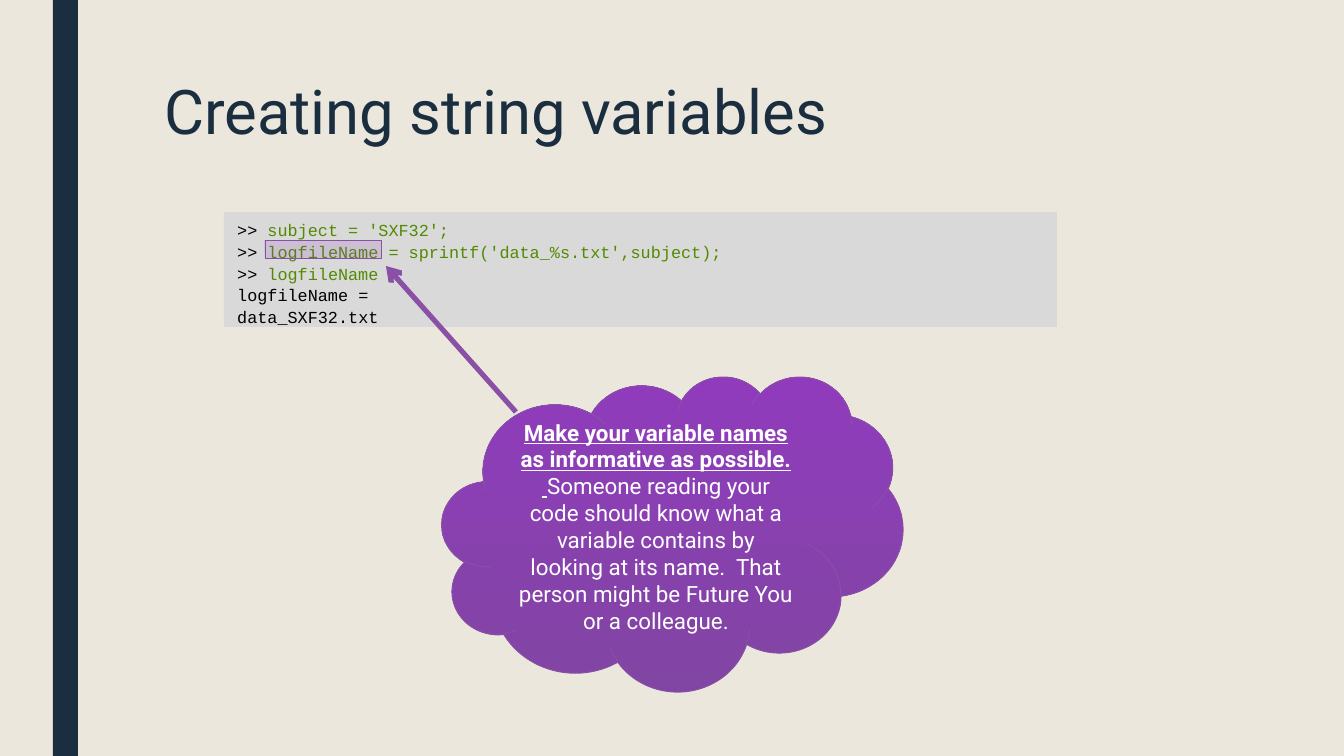
from lxml import etree
from pptx import Presentation, util as u
from pptx.dml.color import RGBColor
from pptx.enum import shapes, text
from pptx.oxml import ns

PX = 914400 / 134.4
CREAM = RGBColor(0xEB, 0xE7, 0xDD)
NAVY = RGBColor(0x1A, 0x2E, 0x40)
GRAY = RGBColor(0xD9, 0xD9, 0xD9)
GREEN = RGBColor(0x52, 0x8A, 0x02)
BLACK = RGBColor(0, 0, 0)
WHITE = RGBColor(0xFF, 0xFF, 0xFF)
DEEP_PURPLE = RGBColor(0x81, 0x46, 0xA3)
BRIGHT_PURPLE = RGBColor(0x90, 0x3B, 0xBC)
PURPLE_LINE = RGBColor(0x89, 0x50, 0xA6)

TITLE = {"name": "Roboto", "size": u.Pt(33), "color": NAVY}
PROMPT = {"name": "Courier New", "size": u.Pt(9), "color": BLACK}
CODE = {**PROMPT, "color": GREEN}
ADVICE = {"name": "Roboto", "size": u.Pt(12), "color": WHITE}
EMPHASIS = {**ADVICE, "bold": True, "underline": True}


def scaled(*lengths):
    """Turn px lengths into EMU."""
    return [u.Emu(round(length * PX)) for length in lengths]


def add_run(paragraph, words, style):
    """Append a run with the given font values."""
    run = paragraph.add_run()
    run.text = words
    for name, value in style.items():
        if name == "color":
            run.font.color.rgb = value
        else:
            setattr(run.font, name, value)


def add_panel(slide, box, color, kind=shapes.MSO_SHAPE.RECTANGLE):
    """Add a plain filled shape without outline or shadow."""
    shape = slide.shapes.add_shape(kind, *scaled(*box))
    shape.shadow.inherit = False
    shape.fill.solid()
    shape.fill.fore_color.rgb = color
    shape.line.fill.background()
    return shape


def paint_purple(shape, alpha=None):
    """Give a shape the purple gradient and outline."""
    shape.fill.gradient()
    shape.fill.gradient_angle = 90
    for stop, color in zip(shape.fill.gradient_stops, (DEEP_PURPLE, BRIGHT_PURPLE)):
        stop.color.rgb = color
    if alpha is not None:
        for color in shape.fill._xPr.iter(ns.qn("a:srgbClr")):
            etree.SubElement(color, ns.qn("a:alpha"), val=str(alpha * 1000))
    shape.line.color.rgb = PURPLE_LINE
    shape.line.width = u.Pt(0.5)


def add_title(slide, box):
    """Add the slide title."""
    frame = slide.shapes.add_textbox(*scaled(*box)).text_frame
    frame.word_wrap = True
    paragraph = frame.paragraphs[0]
    paragraph.line_spacing = 0.89
    add_run(paragraph, "Creating string variables", TITLE)


def add_code(slide, box):
    """Add the console listing and highlight its variable name."""
    left, top, width, height = box
    frame = add_panel(slide, box, GRAY).text_frame
    frame.word_wrap = True
    frame.vertical_anchor = text.MSO_ANCHOR.TOP
    lines = [
        (">> ", "subject = 'SXF32';"),
        (">> ", "logfileName = sprintf('data_%s.txt',subject);"),
        (">> ", "logfileName"),
        ("logfileName =", ""),
        ("data_SXF32.txt", ""),
    ]
    for index, (plain, code) in enumerate(lines):
        paragraph = frame.paragraphs[0] if index == 0 else frame.add_paragraph()
        paragraph.alignment = text.PP_ALIGN.LEFT
        paragraph.line_spacing = 1.07
        add_run(paragraph, plain, PROMPT)
        if code:
            add_run(paragraph, code, CODE)
    highlight = add_panel(slide, (left + 41, top + 28, 117, 19), DEEP_PURPLE)
    paint_purple(highlight, alpha=16)


def add_arrow(slide, start, end):
    """Add the arrow from the advice to the variable name."""
    arrow = slide.shapes.add_connector(
        shapes.MSO_CONNECTOR.STRAIGHT, *scaled(*start, *end))
    arrow.line.color.rgb = PURPLE_LINE
    arrow.line.width = u.Pt(2.75)
    etree.SubElement(arrow.line._get_or_add_ln(), ns.qn("a:tailEnd"), type="arrow")
    etree.SubElement(arrow._element.spPr, ns.qn("a:effectLst"))


def add_advice(slide, box):
    """Add the cloud with the naming advice."""
    cloud = add_panel(slide, box, DEEP_PURPLE, shapes.MSO_SHAPE.CLOUD)
    paint_purple(cloud)
    frame = cloud.text_frame
    frame.word_wrap = True
    frame.vertical_anchor = text.MSO_ANCHOR.MIDDLE
    paragraph = frame.paragraphs[0]
    paragraph.alignment = text.PP_ALIGN.CENTER
    add_run(paragraph, "Make your variable names as informative as possible.  ", EMPHASIS)
    add_run(paragraph, "Someone reading your code should know what a variable contains by "
            "looking at its name.  That person might be Future You or a colleague.", ADVICE)


def main():
    """Build and save the presentation."""
    presentation = Presentation()
    presentation.slide_width, presentation.slide_height = scaled(1344, 756)
    slide = presentation.slides.add_slide(presentation.slide_layouts[6])
    slide.background.fill.solid()
    slide.background.fill.fore_color.rgb = CREAM
    add_panel(slide, (53, 0, 25, 756), NAVY)
    add_title(slide, (151, 75, 1059, 164))
    add_code(slide, (224, 212, 833, 115))
    add_arrow(slide, (516, 412), (386, 266))
    add_advice(slide, (442, 376, 461, 315))
    presentation.save("out.pptx")


if __name__ == "__main__":
    main()
